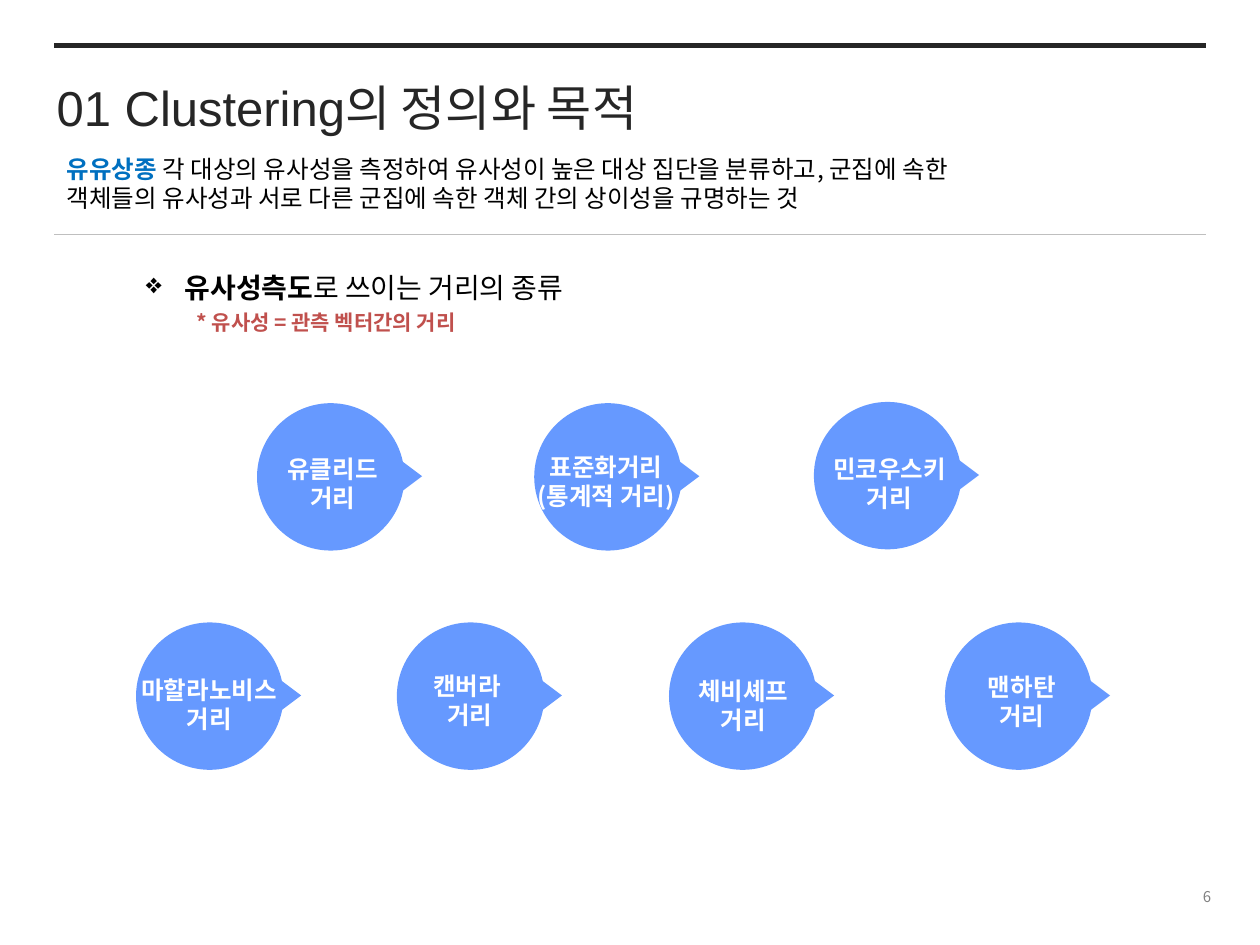
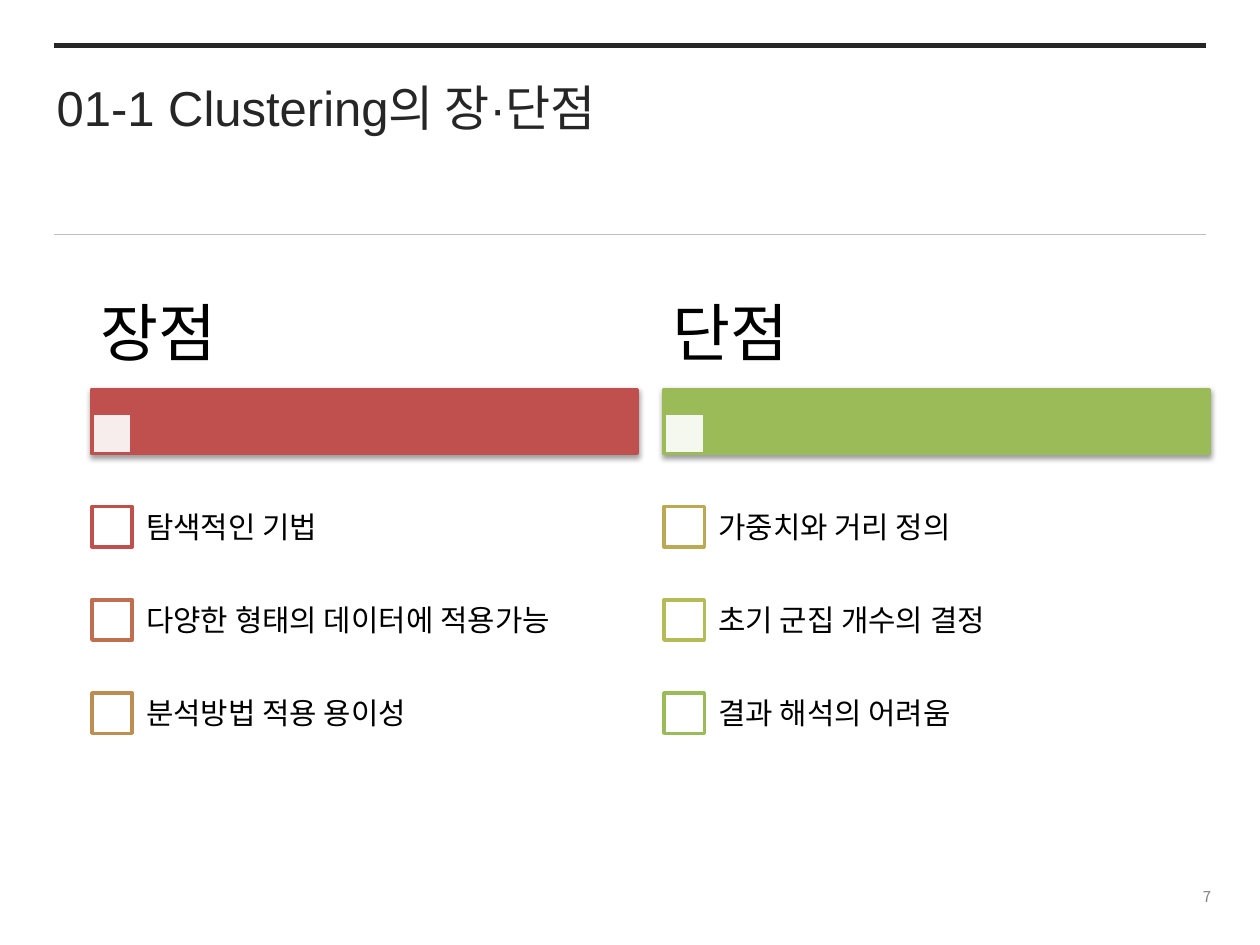
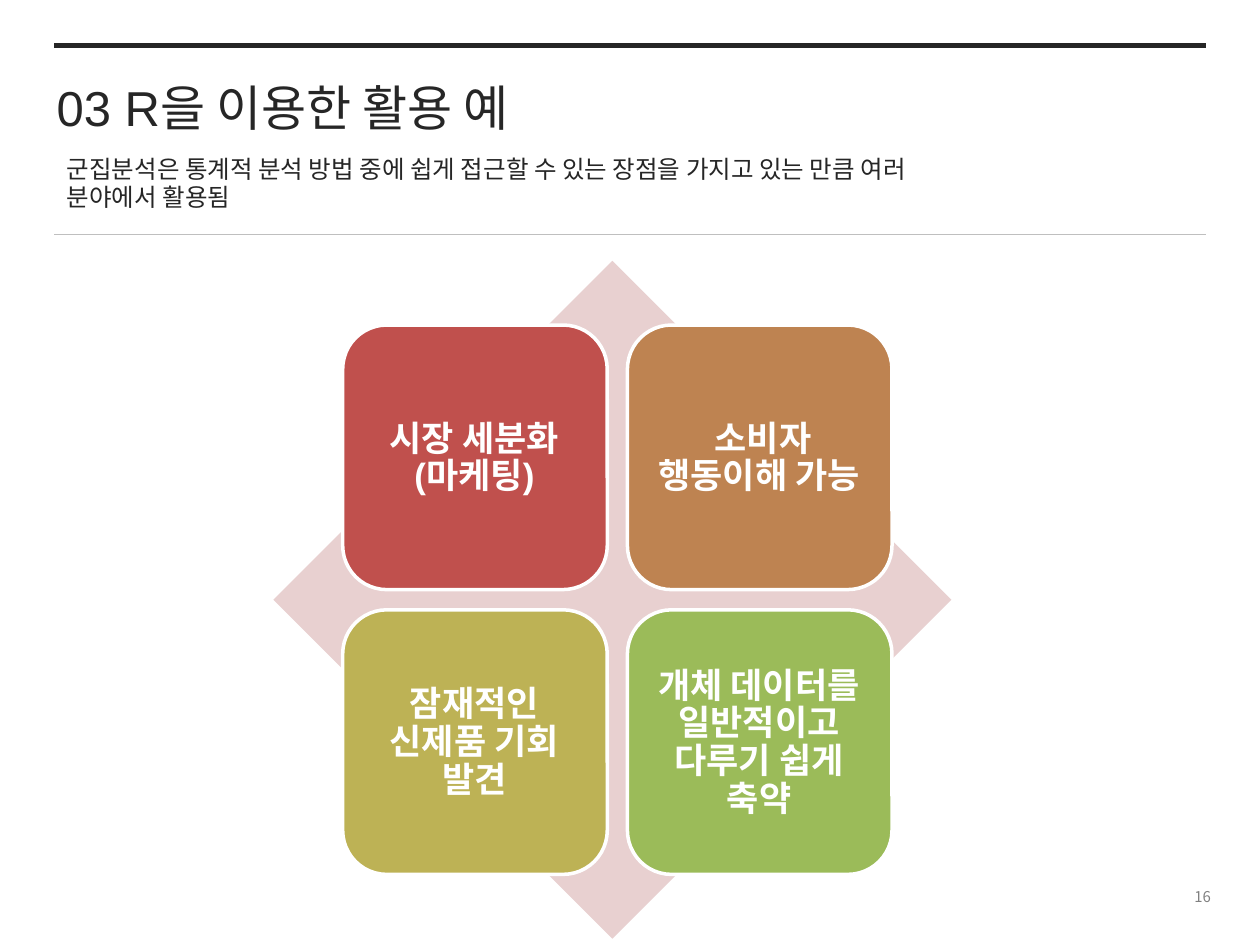
from lxml import etree
from pptx import Presentation
from pptx.dml.color import RGBColor
from pptx.enum.shapes import MSO_CONNECTOR, MSO_SHAPE
from pptx.enum.text import MSO_ANCHOR, MSO_AUTO_SIZE, PP_ALIGN
from pptx.oxml.ns import qn
from pptx.util import Inches, Pt

LEFT, MID, RIGHT = PP_ALIGN.LEFT, PP_ALIGN.CENTER, PP_ALIGN.RIGHT
TOP, CENTRE = MSO_ANCHOR.TOP, MSO_ANCHOR.MIDDLE
OVAL, WEDGE = MSO_SHAPE.OVAL, MSO_SHAPE.ISOSCELES_TRIANGLE
RECT, ROUND, GEM = MSO_SHAPE.RECTANGLE, MSO_SHAPE.ROUNDED_RECTANGLE, MSO_SHAPE.DIAMOND
STRAIGHT, FIXED = MSO_CONNECTOR.STRAIGHT, MSO_AUTO_SIZE.NONE

ARIAL, NOTO = "Arial", "Noto Sans CJK KR"
BLACK = RGBColor(0, 0, 0)
WHITE = RGBColor(255, 255, 255)
INK = RGBColor(0x26, 0x26, 0x26)
GREY = RGBColor(0x80, 0x80, 0x80)
RULE = RGBColor(0xBF, 0xBF, 0xBF)
BLUE = RGBColor(0x00, 0x70, 0xC0)
SKY = RGBColor(0x66, 0x99, 0xFF)
RED = RGBColor(0xC0, 0x50, 0x4D)
RUST = RGBColor(0xBF, 0x6F, 0x4F)
TAN = RGBColor(0xBE, 0x8D, 0x52)
CLAY = RGBColor(0xBE, 0x83, 0x51)
SAND = RGBColor(0xBD, 0xA9, 0x54)
OLIVE = RGBColor(0xBD, 0xB2, 0x55)
LIME = RGBColor(0xB5, 0xBC, 0x57)
GREEN = RGBColor(0x9B, 0xBB, 0x59)
ROSE = RGBColor(0xE8, 0xD0, 0xD0)

# Format values for each kind of text
TITLE = {"size": 28, "name": ARIAL, "color": INK, "pitch": 1.26}
LEAD = {"size": 14, "color": BLACK}
KEY = {"color": BLUE, "bold": True}
NOTE = {"size": 12, "color": RED, "bold": True}
LABEL = {"size": 14, "color": WHITE, "bold": True, "align": MID}
HEAD = {"size": 36, "color": BLACK, "anchor": CENTRE, "inset": 0.07}
ITEM = {"size": 17, "color": BLACK, "anchor": CENTRE, "inset": 0.13}
TILE = {"size": 20, "name": ARIAL, "color": WHITE, "bold": True, "align": MID,
        "anchor": CENTRE, "inset": 0.08, "pitch": 1.08}
PAGE = {"size": 8.5, "color": GREY, "align": RIGHT, "anchor": CENTRE}


def child(node, tag, **attrs):
    return etree.SubElement(node, qn(tag), attrs)


def style(run, form):
    font = run.font
    look = {"size": Pt(form["size"]), "name": form.get("name", NOTO),
            "bold": form.get("bold", False)}
    for key, value in look.items():
        setattr(font, key, value)
    font.color.rgb = form["color"]
    child(run._r.get_or_add_rPr(), "a:ea", typeface=NOTO)


def fill_text(shape, parts, form):
    """Write one paragraph per line of text; a part is (text, changes)."""
    frame = shape.text_frame
    look = {"word_wrap": True, "auto_size": FIXED,
            "vertical_anchor": form.get("anchor", TOP)}
    if "inset" in form:
        side = Inches(form["inset"])
        look.update(margin_left=side, margin_right=side)
    for key, value in look.items():
        setattr(frame, key, value)
    para = frame.paragraphs[0]
    para.alignment = form.get("align", LEFT)
    para.line_spacing = Pt(round(form["size"] * form.get("pitch", 1.18), 1))
    para.space_before = Pt(0)
    for text, change in parts:
        for row, line in enumerate(text.split("\v")):
            if row:
                para.add_line_break()
            run = para.add_run()
            run.text = line
            style(run, {**form, **change})
    return para


def place(shape, box):
    for key, value in zip(("left", "top", "width", "height"), box):
        setattr(shape, key, Inches(value))


def write(shapes, box, text, form):
    shape = shapes.add_textbox(*map(Inches, box))
    parts = [(text, {})] if isinstance(text, str) else text
    return fill_text(shape, parts, form)


def draw(shapes, kind, box, fill, line=None):
    shape = shapes.add_shape(kind, *map(Inches, box))
    shape.shadow.inherit = False
    shape.fill.solid()
    shape.fill.fore_color.rgb = fill
    if line is None:
        shape.line.fill.background()
    else:
        shape.line.color.rgb = line
        shape.line.width = Pt(2)
    return shape


def bullet(para, char, indent):
    props = para._p.get_or_add_pPr()
    width = Inches(indent)
    props.set("marL", str(width))
    props.set("indent", str(-width))
    if char:
        child(props, "a:buChar", char=char)
    else:
        child(props, "a:buNone")


def base(deck, title, page, lead=None, form=LEAD):
    """Title, lead text, two rules and page number."""
    slide = deck.slides.add_slide(deck.slide_layouts[1 if lead else 5])
    place(slide.shapes.title, (0.35, 0.54, 7.56, 0.57))
    fill_text(slide.shapes.title, [(title, {})], TITLE)
    if lead:
        body = slide.placeholders[1]
        place(body, (0.43, 1.18, 7.56, 0.57))
        bullet(fill_text(body, lead, form), None, 0)
    for y, color, width in ((1.86, RULE, 0.75), (0.36, INK, 3)):
        rule = slide.shapes.add_connector(
            STRAIGHT, Inches(0.43), Inches(y), Inches(9.57), Inches(y))
        rule.line.color.rgb = color
        rule.line.width = Pt(width)
        child(rule._element.spPr, "a:effectLst")
    write(slide.shapes, (7.6, 6.98, 2.11, 0.27), page, PAGE)
    return slide


def drop(shapes, x, y, text, dx, dy, width):
    """Circle with a pointer, and its label offset by dx, dy."""
    group = shapes.add_group_shape().shapes
    draw(group, OVAL, (x, y, 1.17, 1.17), SKY)
    draw(group, WEDGE, (x + 1.06, y + 0.48, 0.3, 0.2), SKY).rotation = 90
    write(shapes, (x + dx, y + dy, width, 0.57), text, LABEL)


def goals(deck):
    slide = base(deck, "01 Clustering의 정의와 목적", "6", [
        ("유유상종", KEY),
        (" 각 대상의 유사성을 측정하여 유사성이 높은 대상 집단을 분류하고, 군집에 속한 "
         "객체들의 유사성과 서로 다른 군집에 속한 객체 간의 상이성을 규명하는 것", {})])
    shapes = slide.shapes
    para = write(shapes, (1.06, 2.1, 3.94, 0.37),
                 [("유사성측도", {"bold": True}), ("로 쓰이는 거리의 종류", {})],
                 {**LEAD, "size": 16})
    bullet(para, "❖", 0.31)
    for spot in (
            (1.08, 4.94, "마할라노비스 거리", -0.1, 0.37, 1.36),
            (3.15, 4.94, "캔버라 \v거리", -0.04, 0.34, 1.24),
            (5.31, 4.94, "체비셰프\v거리", -0.03, 0.38, 1.24),
            (7.5, 4.94, "맨하탄\v거리", -0.01, 0.35, 1.24),
            (2.04, 3.2, "유클리드\v거리", -0.02, 0.36, 1.24),
            (4.24, 3.2, "표준화거리 (통계적 거리)", -0.11, 0.34, 1.36),
            (6.46, 3.19, "민코우스키 거리", -0.02, 0.37, 1.24)):
        drop(shapes, *spot)
    write(shapes, (1.46, 2.41, 2.68, 0.3), "* 유사성 = 관측 벡터간의 거리", NOTE)


def column(shapes, x, y, head, color, items):
    """Heading, shaded band and a list of outlined check boxes."""
    band = draw(shapes, RECT, (x, y + 0.91, 4.33, 0.51), color, color)
    glow = child(band._element.spPr.find(qn("a:effectLst")), "a:outerShdw",
                 blurRad=str(Pt(3.1)), dist=str(Pt(1.6)), dir="5400000",
                 rotWithShape="0")
    child(child(glow, "a:srgbClr", val="000000"), "a:alpha", val="38000")
    chip = draw(shapes, RECT, (x, y + 1.1, 0.32, 0.32), WHITE, color)
    tint = chip._element.spPr.find(qn("a:solidFill")).find(qn("a:srgbClr"))
    child(tint, "a:alpha", val="90000")
    write(shapes, (x, y, 4.33, 0.91), head, HEAD)
    for row, (text, edge) in enumerate(items):
        top = y + 1.63 + row * 0.74
        draw(shapes, RECT, (x, top + 0.21, 0.32, 0.32), WHITE, edge)
        write(shapes, (x + 0.3, top, 4.02, 0.74), text, ITEM)


def merits(deck):
    shapes = base(deck, "01-1 Clustering의 장·단점", "7").shapes
    column(shapes, 0.73, 2.18, "장점", RED, (
        ("탐색적인 기법", RED),
        ("다양한 형태의 데이터에 적용가능", RUST),
        ("분석방법 적용 용이성", TAN)))
    column(shapes, 5.27, 2.18, "단점", GREEN, (
        ("가중치와 거리 정의", SAND),
        ("초기 군집 개수의 결정", LIME),
        ("결과 해석의 어려움", GREEN)))


def matrix(shapes, x, y, tiles):
    """Diamond with a two by two grid of tiles on it."""
    draw(shapes, GEM, (x, y, 5.38, 5.38), ROSE)
    for spot, (text, color) in enumerate(tiles):
        row, col = divmod(spot, 2)
        left, top = x + 0.55 + col * 2.26, y + 0.51 + row * 2.26
        draw(shapes, ROUND, (left, top, 2.1, 2.1), color, WHITE)
        write(shapes, (left + 0.1, top + 0.11, 1.89, 1.89), text, TILE)


def uses(deck):
    slide = base(deck, "03 R을 이용한 활용 예", "16", [
        ("군집분석은 통계적 분석 방법 중에 쉽게 접근할 수 있는 장점을 가지고 있는 만큼 여러\v"
         "분야에서 활용됨", {})],
        {**LEAD, "name": ARIAL, "color": INK, "pitch": 1.14})
    matrix(slide.shapes, 2.17, 2.07, (
        ("시장 세분화\v(마케팅)", RED),
        (" 소비자\v행동이해 가능", CLAY),
        ("잠재적인\v신제품 기회\v발견", OLIVE),
        ("개체 데이터를\v일반적이고\v다루기 쉽게\v축약", GREEN)))


def main():
    deck = Presentation()
    deck.slide_width, deck.slide_height = Inches(10), Inches(7.5)
    for build in (goals, merits, uses):
        build(deck)
    deck.save("out.pptx")


if __name__ == "__main__":
    main()
